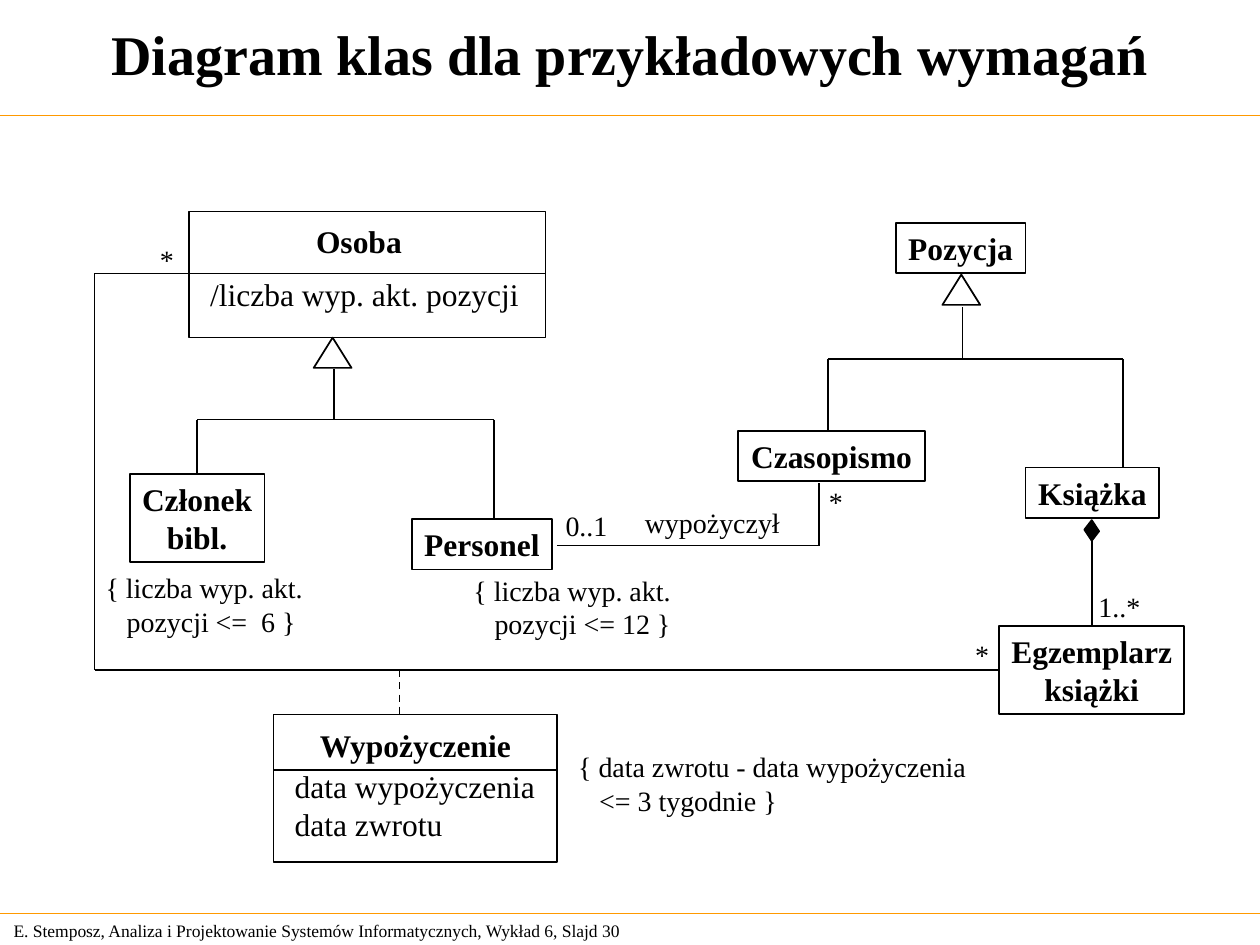
from dataclasses import dataclass
from lxml import etree
from pptx import Presentation
from pptx.dml.color import RGBColor
from pptx.enum.dml import MSO_LINE
from pptx.enum.shapes import MSO_CONNECTOR, MSO_SHAPE
from pptx.enum.text import MSO_ANCHOR, MSO_AUTO_SIZE, PP_ALIGN
from pptx.oxml.ns import qn
from pptx.util import Emu, Inches, Pt

RECT, TRIANGLE = MSO_SHAPE.RECTANGLE, MSO_SHAPE.ISOSCELES_TRIANGLE
RHOMB = MSO_SHAPE.PARALLELOGRAM
STRAIGHT = MSO_CONNECTOR.STRAIGHT
MIDDLE, TOP = MSO_ANCHOR.MIDDLE, MSO_ANCHOR.TOP
CENTER, LEFT = PP_ALIGN.CENTER, PP_ALIGN.LEFT
NO_FIT = MSO_AUTO_SIZE.NONE
DASH = MSO_LINE.DASH
TOP_SIDE, LEFT_SIDE = 0, 1

FONT = "Times New Roman"
COLORS = {"ink": "000000", "paper": "FFFFFF", "rule": "FF9900"}
COLS, ROWS = 100, 75
CELL = Inches(10) // COLS
INDENT = 1.67  # hanging second line of a constraint, in columns


@dataclass
class Box:
    """A class box; places and sizes are in grid columns and rows."""
    col: float
    row: float
    wide: float
    high: float
    lines: tuple[str, ...] = ()


@dataclass
class Label:
    col: float
    row: float
    wide: float
    high: float
    lines: tuple[str, ...]
    size: int = 16
    bold: bool = False
    hang: float = 0


@dataclass
class Link:
    start: tuple[float, float]
    end: tuple[float, float]
    target: str = ""
    side: int = TOP_SIDE
    dash: bool = False


BOXES = {
    "person": Box(15, 16.8, 28.3, 10),
    "member": Box(10.3, 37.6, 10.7, 7, ("Członek", "bibl.")),
    "staff": Box(32.7, 41.2, 11.1, 4, ("Personel",)),
    "item": Box(71.1, 17.7, 10.3, 4, ("Pozycja",)),
    "journal": Box(58.6, 34.2, 14.8, 4, ("Czasopismo",)),
    "book": Box(81.4, 37.1, 10.6, 4, ("Książka",)),
    "copy": Box(79.3, 49.7, 14.7, 7, ("Egzemplarz", "książki")),
    "loan": Box(21.7, 56.7, 22.5, 11.7),
}

LABELS = [
    Label(24.1, 17.1, 8.8, 4, ("Osoba",), 18, True),
    Label(15.7, 21.3, 26.5, 4, ("/liczba wyp. akt. pozycji",), 18),
    Label(24.4, 57.1, 17.2, 4, ("Wypożyczenie",), 18, True),
    Label(22.4, 60.4, 21.1, 7, ("data wypożyczenia", "data zwrotu"), 18),
    Label(64.8, 38, 3.1, 3.7, ("*",)),
    Label(11.7, 18.8, 3.1, 3.7, ("*",)),
    Label(76.4, 50.1, 3.1, 3.7, ("*",)),
    Label(43.9, 39.9, 5.3, 3.7, ("0..1",)),
    Label(86.2, 46.3, 5.3, 3.7, ("1..*",)),
    Label(50.2, 39.6, 12.7, 3.7, ("wypożyczył",)),
    Label(36.6, 45, 17.6, 6.4, ("{ liczba wyp. akt.", "pozycji <= 12 }"), hang=INDENT),
    Label(7.4, 44.8, 17.6, 6.4, ("{ liczba wyp. akt.", "pozycji <=  6 }"), hang=INDENT),
    Label(44.9, 59, 32.8, 6.4,
          ("{ data zwrotu - data wypożyczenia", "<= 3 tygodnie }"), hang=INDENT),
]

LINKS = [
    # compartments
    Link((15, 21.7), (43.3, 21.7)),
    Link((21.7, 61.1), (44.2, 61.1)),
    # kinds of person
    Link((26.5, 29.3), (26.5, 33.3)),
    Link((15.65, 33.3), (39.2, 33.3)),
    Link((15.65, 33.3), (15.65, 37.6), "member"),
    Link((39.2, 33.3), (39.2, 41.2)),
    # kinds of item
    Link((76.4, 24.4), (76.4, 28.5)),
    Link((65.7, 28.5), (89.1, 28.5)),
    Link((65.7, 28.5), (65.7, 34.2)),
    Link((89.1, 28.5), (89.1, 37.1)),
    # staff borrows journal
    Link((44.2, 43.3), (65, 43.3)),
    Link((65, 43.3), (65, 38.3)),
    # person borrows copy
    Link((15, 21.7), (7.5, 21.7)),
    Link((7.5, 21.7), (7.5, 53.2)),
    Link((7.5, 53.2), (79.3, 53.2), "copy", LEFT_SIDE),
    Link((31.7, 53.2), (31.7, 56.7), dash=True),
    # book holds copies
    Link((86.65, 42.8), (86.65, 49.7), "copy"),
]


def grid(*cells: float) -> list[Emu]:
    return [Emu(round(n * CELL)) for n in cells]


def tint(name: str) -> RGBColor:
    return RGBColor.from_string(COLORS[name])


def write(frame, lines, size, bold=False, align=LEFT, anchor=TOP, hang=0.0,
          pads=(1, 0)) -> None:
    """Fill a text frame, one paragraph a line, indenting those after the first."""
    frame.word_wrap = True
    frame.auto_size = NO_FIT
    frame.vertical_anchor = anchor
    frame.margin_left, frame.margin_right = grid(*pads)
    for i, line in enumerate(lines):
        para = frame.add_paragraph() if i else frame.paragraphs[0]
        if i and hang:
            para._p.get_or_add_pPr().set("marL", str(round(hang * CELL)))
        para.alignment = align
        run = para.add_run()
        run.text = line
        run.font.name, run.font.size, run.font.bold = FONT, Pt(size), bold
        run.font.color.rgb = tint("ink")


def draw_shape(slide, kind, place: tuple[float, ...], fill: str = ""):
    shape = slide.shapes.add_shape(kind, *grid(*place))
    shape.shadow.inherit = False
    if fill:
        shape.fill.solid()
        shape.fill.fore_color.rgb = tint(fill)
    else:
        shape.fill.background()
    shape.line.color.rgb = tint("ink")
    shape.line.width = Pt(1)
    return shape


def draw_box(slide, box: Box):
    shape = draw_shape(slide, RECT, (box.col, box.row, box.wide, box.high))
    if box.lines:
        write(shape.text_frame, box.lines, 18, True, CENTER, MIDDLE, pads=(0.2, 0.2))
    return shape


def draw_label(slide, label: Label, anchor=TOP) -> None:
    place = grid(label.col, label.row, label.wide, label.high)
    frame = slide.shapes.add_textbox(*place).text_frame
    write(frame, label.lines, label.size, label.bold, anchor=anchor, hang=label.hang)


def draw_link(slide, link: Link, boxes: dict, color: str = "ink", width: float = 1) -> None:
    line = slide.shapes.add_connector(STRAIGHT, *grid(*link.start, *link.end))
    line.line.color.rgb = tint(color)
    line.line.width = Pt(width)
    if link.dash:
        line.line.dash_style = DASH
    etree.SubElement(line._element.spPr, qn("a:effectLst"))
    if link.target:
        line.end_connect(boxes[link.target], link.side)


def main() -> None:
    deck = Presentation()
    deck.slide_width, deck.slide_height = grid(COLS, ROWS)
    slide = deck.slides.add_slide(deck.slide_layouts[5])

    title = slide.shapes.title
    title.left, title.top, title.width, title.height = grid(0.4, 0, 99.2, 8.5)
    write(title.text_frame, ["Diagram klas dla przykładowych wymagań"], 32, True,
          CENTER, MIDDLE, pads=(1, 1))

    for row in (9.15, 72.48):
        draw_link(slide, Link((0, row), (COLS, row)), {}, "rule", 0.75)
    credit = "E. Stemposz, Analiza i Projektowanie Systemów Informatycznych, Wykład 6, Slajd 30"
    draw_label(slide, Label(0.1, 72.5, 52.4, 2.7, (credit,), 10), MIDDLE)

    boxes = {name: draw_box(slide, box) for name, box in BOXES.items()}
    for link in LINKS:
        draw_link(slide, link, boxes)
    for col, row in ((24.9, 26.8), (74.8, 21.8)):
        draw_shape(slide, TRIANGLE, (col, row, 3, 2.4), "paper")
    rhomb = draw_shape(slide, RHOMB, (86, 41.6, 1.3, 1), "ink")
    rhomb.adjustments[0] = 0.34
    rhomb.rotation = 307.6
    for label in LABELS:
        draw_label(slide, label)

    deck.save("out.pptx")


if __name__ == "__main__":
    main()
